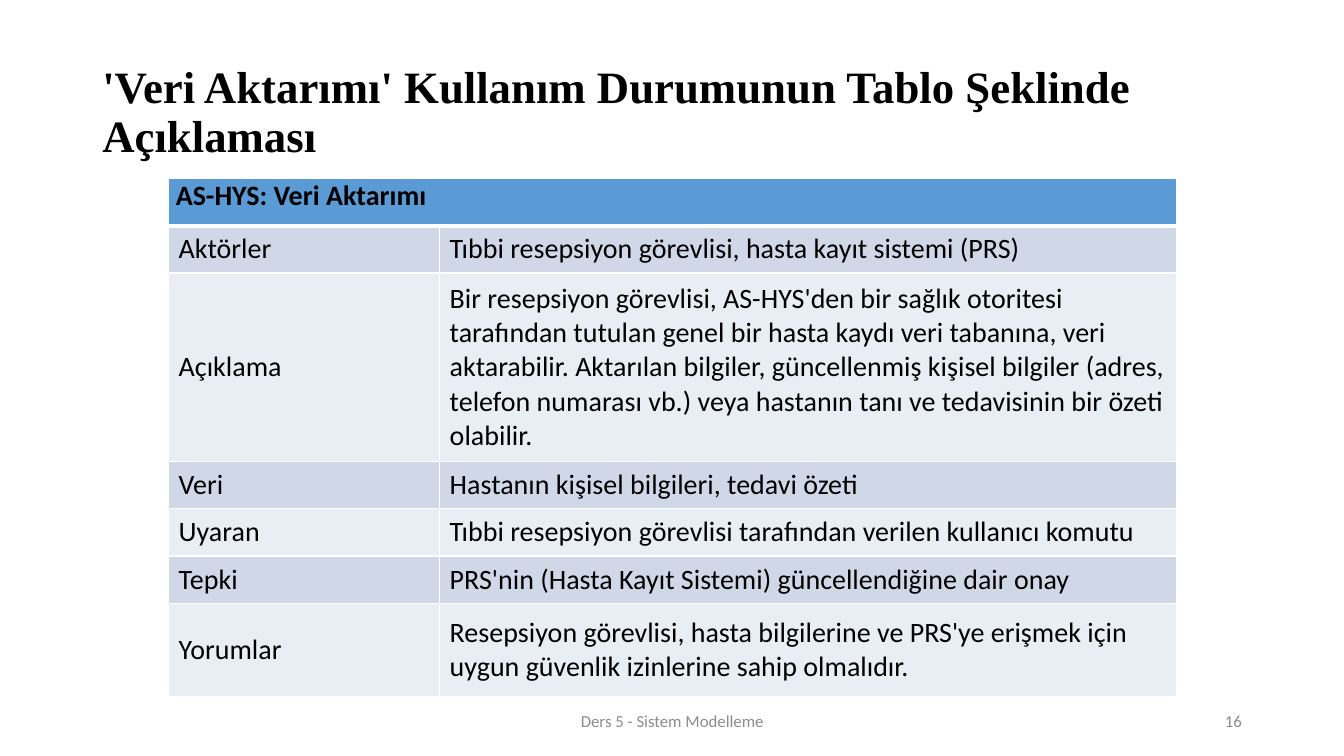
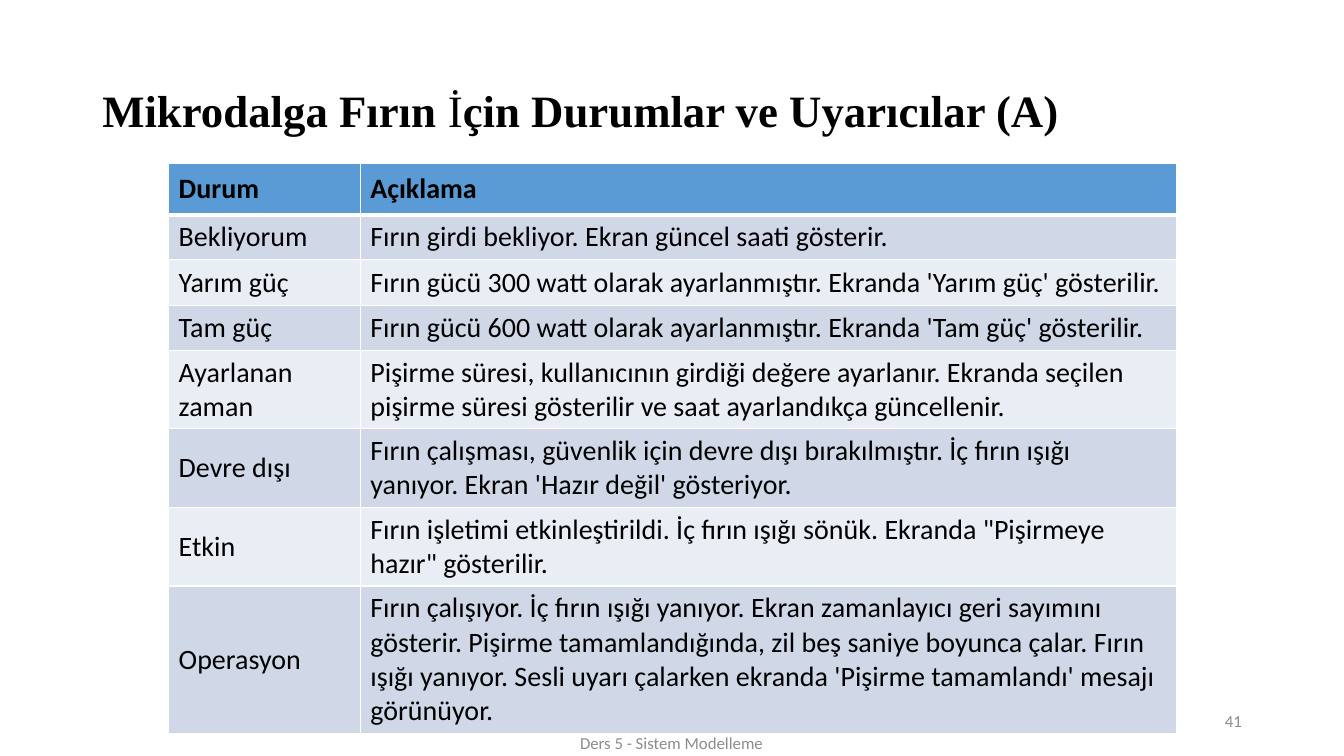
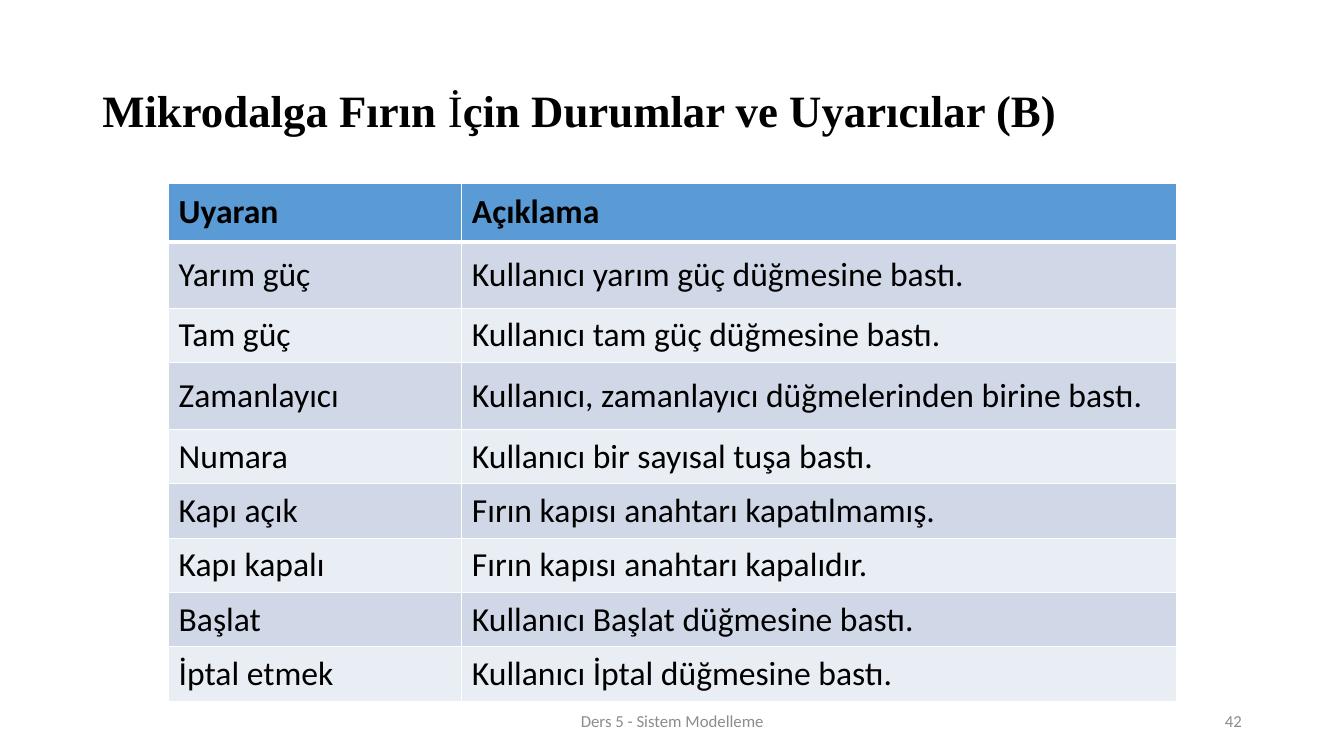
from dataclasses import dataclass

from lxml import etree
from pptx import Presentation
from pptx import util as u
from pptx.dml import color as clr
from pptx.enum import text as t
from pptx.oxml import ns


@dataclass(frozen=True)
class Theme:
    """Colours, fonts and type sizes shared by the slides."""
    ink: str = "000000"
    grey: str = "8C8C8C"
    head: str = "5B9BD5"
    bands: tuple = ("E9EDF4", "D0D8E8")
    rule: str = "FFFFFF"
    serif: str = "Times New Roman"
    sans: str = "Calibri"
    title: int = 32
    small: int = 12
    thin: int = 1
    thick: int = 3


TH = Theme()
SIZE = (33.87, 19.05)
TITLE = (2.33, 1.02, 29.21, 3.68)
PAGE = (23.93, 17.65, 7.62, 1.02)
FOOT = (11.23, 17.65, 11.43, 1.02)
LEFT, WIDE = 4.25, 25.4
NOTE = "Ders 5 - Sistem Modelleme"
OVEN = ("Mikrodalga Fırın ", "İ", "çin Durumlar ve Uyarıcılar ")

SLIDES = [
    dict(
        page=16,
        title=[("'Veri Aktarımı' Kullanım Durumunun Tablo Şeklinde Açıklaması", True)],
        table=dict(
            top=4.5, first=6.83, size=20,
            rows=[
                (1.19, "AS-HYS: Veri Aktarımı"),
                (1.19, "Aktörler", "Tıbbi resepsiyon görevlisi, hasta kayıt sistemi (PRS)"),
                (4.75, "Açıklama",
                 "Bir resepsiyon görevlisi, AS-HYS'den bir sağlık otoritesi tarafından "
                 "tutulan genel bir hasta kaydı veri tabanına, veri aktarabilir. Aktarılan "
                 "bilgiler, güncellenmiş kişisel bilgiler (adres, telefon numarası vb.) "
                 "veya hastanın tanı ve tedavisinin bir özeti olabilir."),
                (1.19, "Veri", "Hastanın kişisel bilgileri, tedavi özeti"),
                (1.19, "Uyaran",
                 "Tıbbi resepsiyon görevlisi tarafından verilen kullanıcı komutu"),
                (1.19, "Tepki", "PRS'nin (Hasta Kayıt Sistemi) güncellendiğine dair onay"),
                (2.36, "Yorumlar",
                 "Resepsiyon görevlisi, hasta bilgilerine ve PRS'ye erişmek için uygun "
                 "güvenlik izinlerine sahip olmalıdır."),
            ],
        ),
    ),
    dict(
        page=41,
        title=[(OVEN[0], True), (OVEN[1], False), (OVEN[2] + "(A)", True)],
        foot=(12.9, 18.21, 8.05, 1.02),
        table=dict(
            top=4.11, first=4.83, size=20,
            rows=[
                (1.3, "Durum", "Açıklama"),
                (1.14, "Bekliyorum", "Fırın girdi bekliyor. Ekran güncel saati gösterir."),
                (1.14, "Yarım güç",
                 "Fırın gücü 300 watt olarak ayarlanmıştır. Ekranda 'Yarım güç' gösterilir."),
                (1.14, "Tam güç",
                 "Fırın gücü 600 watt olarak ayarlanmıştır. Ekranda 'Tam güç' gösterilir."),
                (1.98, "Ayarlanan zaman",
                 "Pişirme süresi, kullanıcının girdiği değere ayarlanır. Ekranda seçilen "
                 "pişirme süresi gösterilir ve saat ayarlandıkça güncellenir."),
                (1.98, "Devre dışı",
                 "Fırın çalışması, güvenlik için devre dışı bırakılmıştır. İç fırın ışığı "
                 "yanıyor. Ekran 'Hazır değil' gösteriyor."),
                (1.98, "Etkin",
                 "Fırın işletimi etkinleştirildi. İç fırın ışığı sönük. Ekranda "
                 "\"Pişirmeye hazır\" gösterilir."),
                (3.71, "Operasyon",
                 "Fırın çalışıyor. İç fırın ışığı yanıyor. Ekran zamanlayıcı geri sayımını "
                 "gösterir. Pişirme tamamlandığında, zil beş saniye boyunca çalar. Fırın "
                 "ışığı yanıyor. Sesli uyarı çalarken ekranda 'Pişirme tamamlandı' mesajı "
                 "görünüyor."),
            ],
        ),
    ),
    dict(
        page=42,
        title=[(OVEN[0], True), (OVEN[1], False), (OVEN[2] + "(B)", True)],
        table=dict(
            top=4.62, first=7.39, size=24,
            rows=[
                (1.47, "Uyaran", "Açıklama"),
                (1.68, "Yarım güç", "Kullanıcı yarım güç düğmesine bastı."),
                (1.37, "Tam güç", "Kullanıcı tam güç düğmesine bastı."),
                (1.68, "Zamanlayıcı", "Kullanıcı, zamanlayıcı düğmelerinden birine bastı."),
                (1.37, "Numara", "Kullanıcı bir sayısal tuşa bastı."),
                (1.37, "Kapı açık", "Fırın kapısı anahtarı kapatılmamış."),
                (1.37, "Kapı kapalı", "Fırın kapısı anahtarı kapalıdır."),
                (1.37, "Başlat", "Kullanıcı Başlat düğmesine bastı."),
                (1.37, "İptal etmek", "Kullanıcı İptal düğmesine bastı."),
            ],
        ),
    ),
]


def apply(item, form):
    """Set each format value on the item."""
    for name, value in form.items():
        setattr(item, name, value)


def write(par, runs, face, size, ink):
    """Add (words, bold) runs to a paragraph."""
    for words, bold in runs:
        run = par.add_run()
        run.text = words
        apply(run.font, dict(name=face, size=u.Pt(size), bold=bold))
        run.font.color.rgb = clr.RGBColor.from_string(ink)


def label(slide, box, runs, face, size, ink, **form):
    """Place one line of wrapped text, centred in height, in a box."""
    frame = slide.shapes.add_textbox(*map(u.Cm, box)).text_frame
    apply(frame, dict(word_wrap=True, vertical_anchor=t.MSO_ANCHOR.MIDDLE))
    par = frame.paragraphs[0]
    apply(par, form)
    write(par, runs, face, size, ink)


def edge(cell, widths):
    """Draw the left, right, top and bottom rules of a cell."""
    props = cell._tc.get_or_add_tcPr()
    for side, width in zip("LRTB", widths):
        line = etree.SubElement(props, ns.qn("a:ln" + side), w=str(u.Pt(width)))
        fill = etree.SubElement(line, ns.qn("a:solidFill"))
        etree.SubElement(fill, ns.qn("a:srgbClr"), val=TH.rule)


def grid(slide, top, first, size, rows):
    """Place a two-column table with a head row and banded body rows."""
    tall = sum(row[0] for row in rows)
    box = map(u.Cm, (LEFT, top, WIDE, tall))
    table = slide.shapes.add_table(len(rows), 2, *box).table
    for col, width in zip(table.columns, (first, WIDE - first)):
        col.width = u.Cm(width)
    for r, (height, *words) in enumerate(rows):
        table.rows[r].height = u.Cm(height)
        upper = TH.thick if r == 1 else TH.thin
        lower = TH.thick if r == 0 else TH.thin
        for c in range(2):
            cell = table.cell(r, c)
            edge(cell, (TH.thin, TH.thin, upper, lower))
            cell.fill.solid()
            tint = TH.bands[r % 2] if r else TH.head
            cell.fill.fore_color.rgb = clr.RGBColor.from_string(tint)
            cell.vertical_anchor = t.MSO_ANCHOR.MIDDLE
        for c, part in enumerate(words):
            part = part.replace(". ", "." + chr(160))
            par = table.cell(r, c).text_frame.paragraphs[0]
            write(par, [(part, r == 0)], TH.sans, size, TH.ink)
        if len(words) == 1:
            span(table, r)


def span(table, r):
    """Merge a row into one tight cell with text at its top."""
    cell = table.cell(r, 0)
    cell.merge(table.cell(r, 1))
    side = u.Cm(0.18)
    apply(cell, dict(vertical_anchor=t.MSO_ANCHOR.TOP, margin_left=side,
                     margin_right=side, margin_top=0, margin_bottom=0))
    cell.text_frame.paragraphs[0].alignment = t.PP_ALIGN.JUSTIFY


def build(deck, page, title, table, foot=FOOT):
    """Add one slide with its title, table and footer."""
    slide = deck.slides.add_slide(deck.slide_layouts[6])
    label(slide, TITLE, title, TH.serif, TH.title, TH.ink, line_spacing=0.9)
    grid(slide, **table)
    for box, words, side in ((PAGE, str(page), t.PP_ALIGN.RIGHT),
                             (foot, NOTE, t.PP_ALIGN.CENTER)):
        label(slide, box, [(words, False)], TH.sans, TH.small, TH.grey, alignment=side)


def main():
    """Build and save the deck."""
    deck = Presentation()
    apply(deck, dict(zip(("slide_width", "slide_height"), map(u.Cm, SIZE))))
    for item in SLIDES:
        build(deck, **item)
    deck.save("out.pptx")


if __name__ == "__main__":
    main()
